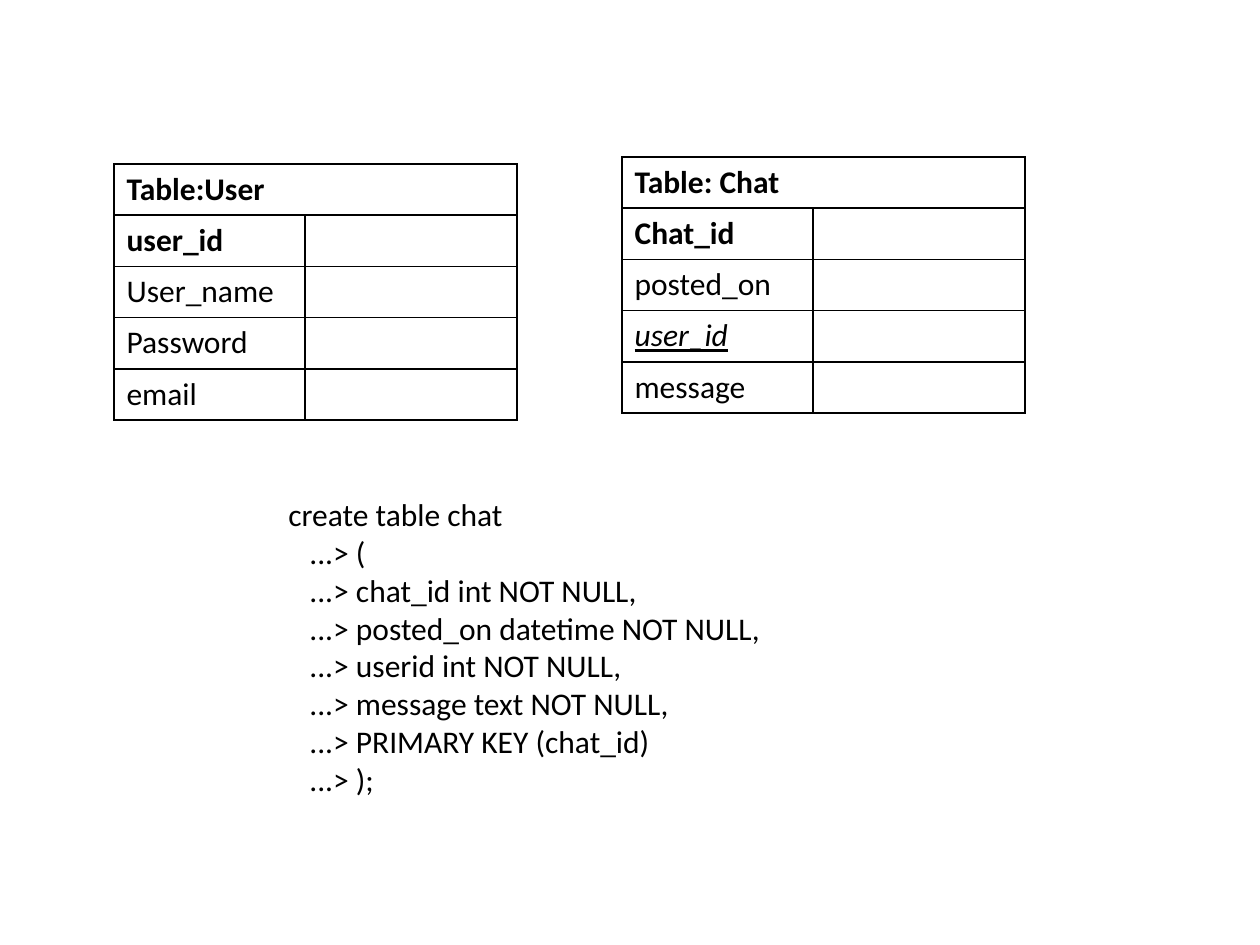
from dataclasses import dataclass

from lxml import etree
from pptx import Presentation
from pptx import util as u
from pptx.dml.color import RGBColor
from pptx.enum import text
from pptx.oxml import ns


@dataclass(frozen=True)
class Theme:
    """Colours, font and type sizes of the slide."""
    ink: str = "000000"
    font: str = "Calibri"
    size: int = 18
    border: int = 1


THEME = Theme()
USER_ROWS = [("Table:User", {"bold": True}), ("user_id", {"bold": True}),
             ("User_name", {}), ("Password", {}), ("email", {})]
CHAT_ROWS = [("Table: Chat", {"bold": True}), ("Chat_id", {"bold": True}),
             ("posted_on", {}), ("user_id", {"italic": True, "underline": True}),
             ("message", {})]
SQL_HEAD = "create table chat"
SQL_BODY = ["(", "chat_id int NOT NULL,", "posted_on datetime NOT NULL,",
            "userid int NOT NULL,", "message text NOT NULL,",
            "PRIMARY KEY (chat_id)", ");"]


def px(n):
    """Turn px into EMU."""
    return u.Emu(round(n * 914400 / 126))


def write(p, words, bold=False, italic=False, underline=False, indent=0):
    """Write one run of text into a paragraph."""
    r = p.add_run()
    r.text = words
    f = r.font
    f.name, f.size = THEME.font, u.Pt(THEME.size)
    f.bold, f.italic, f.underline = bold, italic, underline
    f.color.rgb = RGBColor.from_string(THEME.ink)
    if indent:
        pPr = p._p.get_or_add_pPr()
        pPr.set("marL", str(px(indent)))
        pPr.set("indent", "0")


def style_cell(cell):
    """Give a cell thin borders on every side and no fill."""
    tcPr = cell._tc.get_or_add_tcPr()
    for side in ("a:lnL", "a:lnR", "a:lnT", "a:lnB"):
        ln = etree.SubElement(tcPr, ns.qn(side), w=str(u.Pt(THEME.border)))
        fill = etree.SubElement(ln, ns.qn("a:solidFill"))
        etree.SubElement(fill, ns.qn("a:srgbClr"), val=THEME.ink)
    cell.fill.background()


def schema_table(s, x, y, w, h, rows):
    """Place a table of field names under a merged title row."""
    tbl = s.shapes.add_table(len(rows), 2, px(x), px(y), px(w), px(h)).table
    tbl.first_row = tbl.horz_banding = False
    name_w = round(w * 0.475)
    tbl.columns[0].width, tbl.columns[1].width = px(name_w), px(w - name_w)
    for cell in tbl.iter_cells():
        style_cell(cell)
    tbl.cell(0, 0).merge(tbl.cell(0, 1))
    for i, (words, fmt) in enumerate(rows):
        write(tbl.cell(i, 0).text_frame.paragraphs[0], words, **fmt)


def sql_listing(s, x, y, w, h):
    """Place the SQL statement with its indented prompt lines."""
    tf = s.shapes.add_textbox(px(x), px(y), px(w), px(h)).text_frame
    tf.word_wrap = True
    tf.auto_size = text.MSO_AUTO_SIZE.SHAPE_TO_FIT_TEXT
    write(tf.paragraphs[0], SQL_HEAD)
    for line in SQL_BODY:
        write(tf.add_paragraph(), f"...> {line}", indent=21)


def main():
    """Build and save the slide."""
    prs = Presentation()
    prs.slide_width, prs.slide_height = px(1260), px(945)
    s = prs.slides.add_slide(prs.slide_layouts[6])
    schema_table(s, 114, 164, 403, 256, USER_ROWS)
    schema_table(s, 622, 157, 403, 256, CHAT_ROWS)
    sql_listing(s, 276, 489, 630, 318)
    prs.save("out.pptx")


if __name__ == "__main__":
    main()
